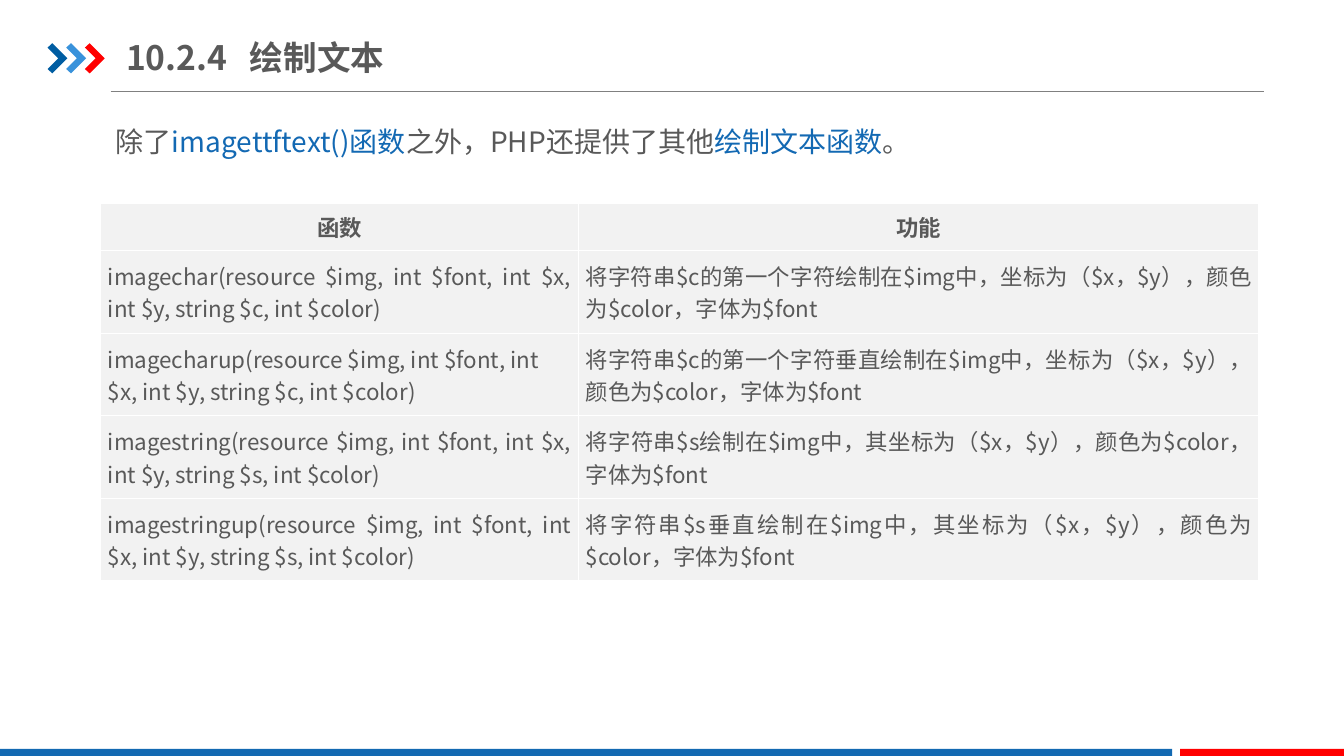
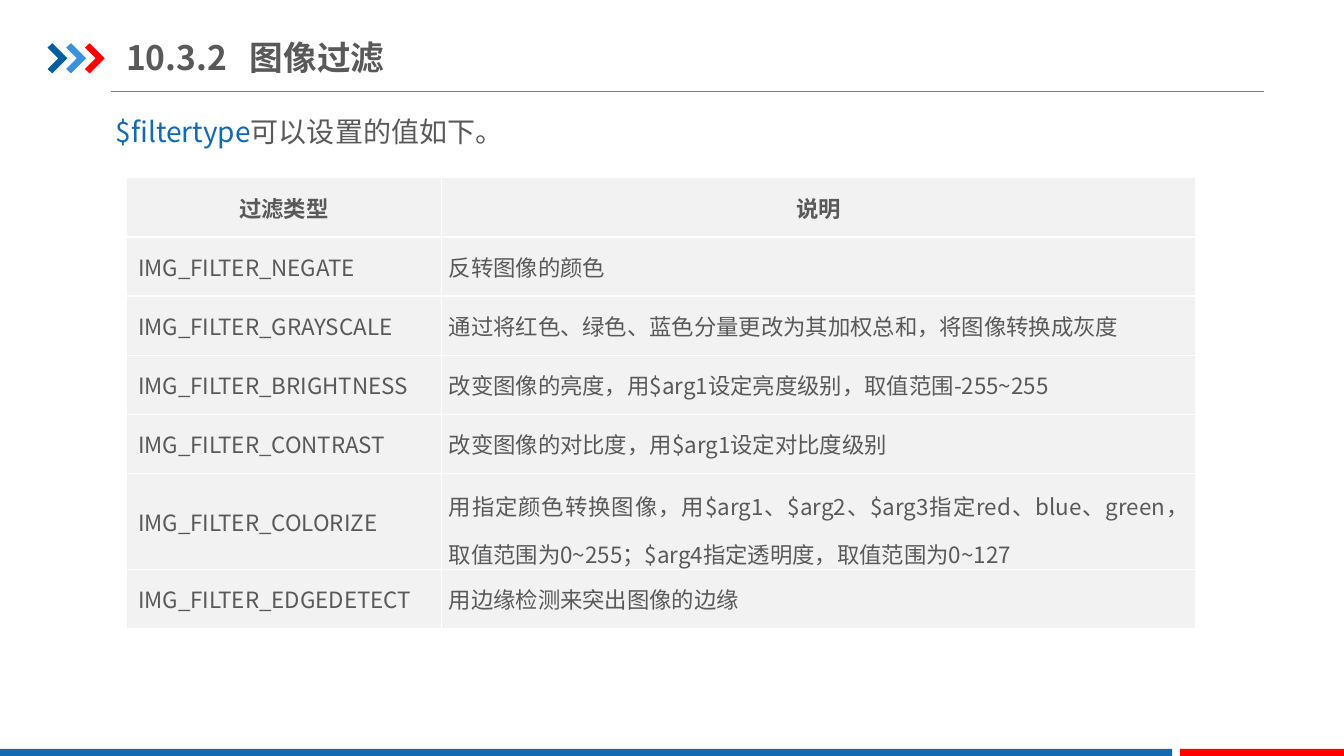
"""Build two slides of function and filter tables in one shared style."""
from dataclasses import dataclass

from lxml.etree import SubElement
from pptx import Presentation
from pptx.dml.color import RGBColor
from pptx.enum.lang import MSO_LANGUAGE_ID
from pptx.enum.shapes import MSO_CONNECTOR, MSO_SHAPE
from pptx.enum.text import MSO_ANCHOR, MSO_AUTO_SIZE, PP_ALIGN
from pptx.oxml.ns import qn
from pptx.util import Cm, Pt


@dataclass(frozen=True)
class Theme:
    font: str = "Noto Sans CJK SC"
    text: str = "595959"
    accent: str = "1369B3"
    band: str = "1369B2"
    red: str = "FF0000"
    rule: str = "808080"
    cell: str = "F2F2F2"
    border: str = "FFFFFF"
    chevrons: tuple = ("005DA2", "3992DB", "FF0000")
    title_size: int = 24
    body_size: int = 20
    table_size: int = 16


class SlideBuilder:
    CHEVRON = ((0, 0.11), (0.12, 0), (0.5, 0.38), (0.12, 0.76), (0, 0.65), (0.27, 0.38))

    def __init__(self, deck, theme):
        self.deck = deck
        self.theme = theme
        self.page = None

    def new_page(self, title):
        self.page = self.deck.slides.add_slide(self.deck.slide_layouts[6])
        self.rule(2.79, 31.85, 2.31)
        for index, color in enumerate(self.theme.chevrons):
            self.chevron(1.2 + 0.47 * index, 1.09, color)
        self.band(0, 29.54, self.theme.band)
        self.band(29.74, 4.13, self.theme.red)
        self.title(title)

    def paint(self, shape, color):
        shape.shadow.inherit = False
        shape.fill.solid()
        shape.fill.fore_color.rgb = RGBColor.from_string(color)
        shape.line.fill.background()

    def rule(self, left, right, top):
        line = self.page.shapes.add_connector(
            MSO_CONNECTOR.STRAIGHT, Cm(left), Cm(top), Cm(right), Cm(top))
        line.line.color.rgb = RGBColor.from_string(self.theme.rule)
        line.line.width = Pt(0.75)
        SubElement(line._element.spPr, qn("a:effectLst"))

    def chevron(self, left, top, color):
        points = [(Cm(left + x), Cm(top + y)) for x, y in self.CHEVRON]
        builder = self.page.shapes.build_freeform(*points[0])
        builder.add_line_segments(points[1:], close=True)
        self.paint(builder.convert_to_shape(), color)

    def band(self, left, width, color):
        bar = self.page.shapes.add_shape(
            MSO_SHAPE.RECTANGLE, Cm(left), Cm(18.87), Cm(width), Cm(0.18))
        self.paint(bar, color)

    def style_span(self, span, size, color=None, bold=False):
        font = span.font
        font.size = Pt(size)
        font.bold = bold
        font.color.rgb = RGBColor.from_string(color or self.theme.text)
        font.name = self.theme.font
        font.language_id = MSO_LANGUAGE_ID.SIMPLIFIED_CHINESE
        SubElement(span._r.get_or_add_rPr(), qn("a:ea"), typeface=self.theme.font)

    def title(self, text):
        box = self.page.shapes.add_textbox(Cm(3.18), Cm(0.74), Cm(10.82), Cm(1.4))
        frame = box.text_frame
        frame.word_wrap = True
        frame.vertical_anchor = MSO_ANCHOR.MIDDLE
        frame.margin_left = frame.margin_right = 0
        frame.margin_top = frame.margin_bottom = Cm(0.18)
        para = frame.paragraphs[0]
        tabs = SubElement(para._p.get_or_add_pPr(), qn("a:tabLst"))
        SubElement(tabs, qn("a:tab"), pos=str(Cm(3.12)), algn="l")
        para.text = text
        for span in para.runs:
            self.style_span(span, self.theme.title_size, bold=True)

    def intro(self, top, pieces):
        box = self.page.shapes.add_textbox(Cm(1.93), Cm(top), Cm(28.6), Cm(1.12))
        frame = box.text_frame
        frame.word_wrap = True
        frame.auto_size = MSO_AUTO_SIZE.SHAPE_TO_FIT_TEXT
        para = frame.paragraphs[0]
        para._p.get_or_add_pPr().set("indent", str(Cm(0.74)))
        for text, is_accent in pieces:
            span = para.add_run()
            span.text = text
            color = self.theme.accent if is_accent else self.theme.text
            self.style_span(span, self.theme.body_size, color)

    def table(self, left, top, widths, heights, rows, first_margin=0.18):
        frame = self.page.shapes.add_table(
            len(rows), len(widths), Cm(left), Cm(top), Cm(sum(widths)), Cm(sum(heights)))
        table = frame.table
        table.first_row = table.horz_banding = False
        for column, width in zip(table.columns, widths):
            column.width = Cm(width)
        for row, height, texts in zip(table.rows, heights, rows):
            row.height = Cm(height)
            for cell, text in zip(row.cells, texts):
                self.fill_cell(cell, text, is_header=texts is rows[0])
        for row in list(table.rows)[1:]:
            row.cells[0].margin_left = Cm(first_margin)
        return table

    def fill_cell(self, cell, text, is_header):
        cell.fill.solid()
        cell.fill.fore_color.rgb = RGBColor.from_string(self.theme.cell)
        cell.vertical_anchor = MSO_ANCHOR.MIDDLE
        cell.margin_left = cell.margin_right = Cm(0.18)
        cell.margin_top = cell.margin_bottom = 0
        self.border_cell(cell)
        para = cell.text_frame.paragraphs[0]
        para.text = text
        para.alignment = PP_ALIGN.CENTER if is_header else PP_ALIGN.JUSTIFY
        para._p.get_or_add_pPr().set("hangingPunct", "1")
        for span in para.runs:
            self.style_span(span, self.theme.table_size, bold=is_header)

    def border_cell(self, cell):
        properties = cell._tc.get_or_add_tcPr()
        for index, side in enumerate(("lnL", "lnR", "lnT", "lnB")):
            line = SubElement(properties, qn(f"a:{side}"), w=str(Pt(1)))
            fill = SubElement(line, qn("a:solidFill"))
            SubElement(fill, qn("a:srgbClr"), val=self.theme.border)
            properties.insert(index, line)


def add_text_functions(builder):
    builder.new_page("10.2.4\t绘制文本")
    builder.intro(3.02, [
        ("除了", False),
        ("imagettftext()函数", True),
        ("之外，PHP还提供了其他", False),
        ("绘制文本函数", True),
        ("。", False),
    ])
    rows = [
        ("函数", "功能"),
        ("imagechar(resource $img, int $font, int $x, int $y, string $c, int $color)",
         "将字符串$c的第一个字符绘制在$img中，坐标为（$x，$y），颜色为$color，字体为$font"),
        ("imagecharup(resource $img, int $font, int $x, int $y, string $c, int $color)",
         "将字符串$c的第一个字符垂直绘制在$img中，坐标为（$x，$y），颜色为$color，字体为$font"),
        ("imagestring(resource $img, int $font, int $x, int $y, string $s, int $color)",
         "将字符串$s绘制在$img中，其坐标为（$x，$y），颜色为$color，字体为$font"),
        ("imagestringup(resource $img, int $font, int $x, int $y, string $s, int $color)",
         "将字符串$s垂直绘制在$img中，其坐标为（$x，$y），颜色为$color，字体为$font"),
    ]
    table = builder.table(2.54, 5.13, [12.04, 17.15], [1.19] + [2.08] * 4, rows)
    table.cell(2, 0).text_frame.paragraphs[0].alignment = PP_ALIGN.LEFT


def add_image_filters(builder):
    builder.new_page("10.3.2\t图像过滤")
    builder.intro(2.77, [("$filtertype", True), ("可以设置的值如下。", False)])
    rows = [
        ("过滤类型", "说明"),
        ("IMG_FILTER_NEGATE", "反转图像的颜色"),
        ("IMG_FILTER_GRAYSCALE", "通过将红色、绿色、蓝色分量更改为其加权总和，将图像转换成灰度"),
        ("IMG_FILTER_BRIGHTNESS", "改变图像的亮度，用$arg1设定亮度级别，取值范围-255~255"),
        ("IMG_FILTER_CONTRAST", "改变图像的对比度，用$arg1设定对比度级别"),
        ("IMG_FILTER_COLORIZE",
         "用指定颜色转换图像，用$arg1、$arg2、$arg3指定red、blue、green，"
         "取值范围为0~255；$arg4指定透明度，取值范围为0~127"),
        ("IMG_FILTER_EDGEDETECT", "用边缘检测来突出图像的边缘"),
    ]
    heights = [1.49] * 5 + [2.42, 1.49]
    table = builder.table(3.18, 4.48, [7.95, 19], heights, rows, first_margin=0.3)
    table.cell(5, 1).text_frame.paragraphs[0].line_spacing = 1.5


def main():
    deck = Presentation()
    deck.slide_width = Cm(33.87)
    deck.slide_height = Cm(19.05)
    builder = SlideBuilder(deck, Theme())
    add_text_functions(builder)
    add_image_filters(builder)
    deck.save("out.pptx")


if __name__ == "__main__":
    main()
